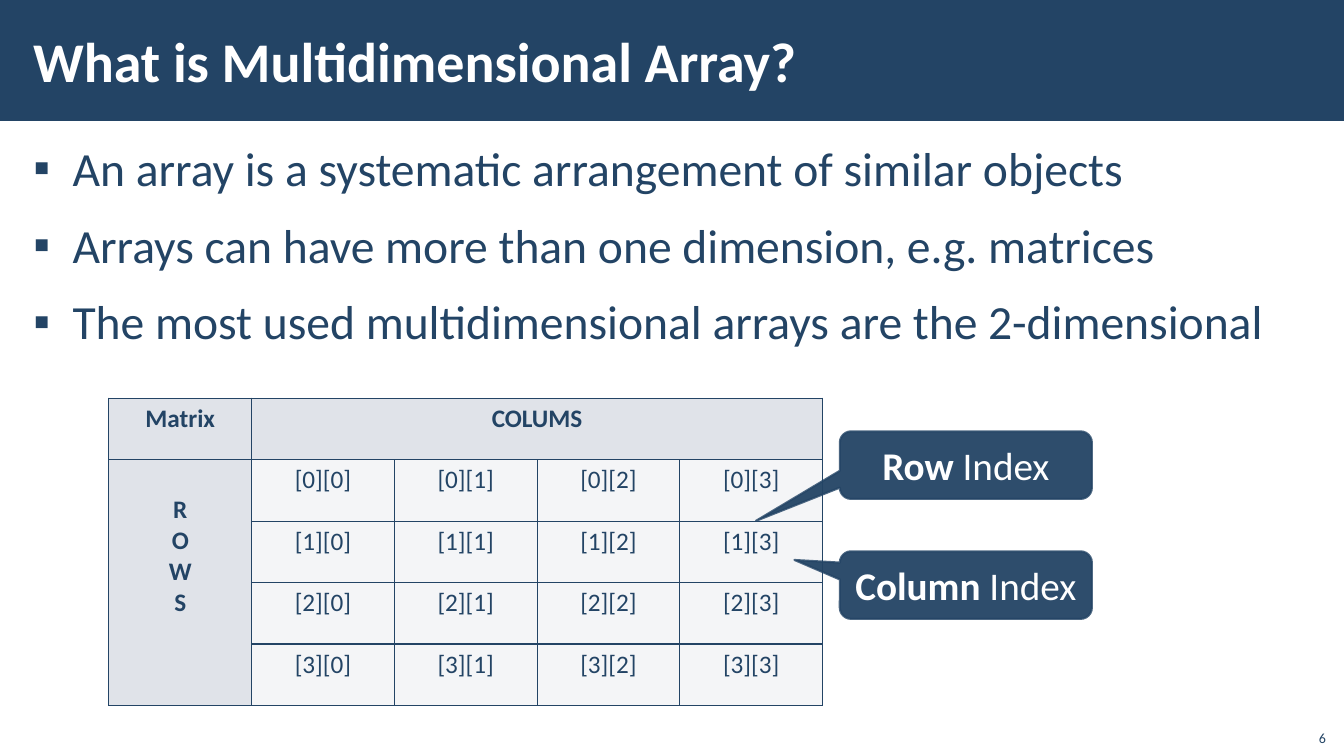
from dataclasses import dataclass

from lxml import etree
from pptx import Presentation
from pptx.dml.color import RGBColor
from pptx.enum import shapes, text
from pptx.oxml import ns
from pptx.util import Inches, Pt

NAVY = RGBColor(0x23, 0x44, 0x65)
WHITE = RGBColor(0xFF, 0xFF, 0xFF)
HEADER_FILL = RGBColor(0xE0, 0xE3, 0xE9)
CELL_FILL = RGBColor(0xF4, 0xF5, 0xF7)
FONT = "Calibri"
MATRIX_SIZE = 4
CENTER = text.PP_ALIGN.CENTER
MIDDLE = text.MSO_ANCHOR.MIDDLE


@dataclass
class Callout:
    word: str
    top: float
    tip_x: float
    tip_y: float


BULLETS = [
    "An array is a systematic arrangement of similar objects",
    "Arrays can have more than one dimension, e.g. matrices",
    "The most used multidimensional arrays are the 2-dimensional",
]
CALLOUTS = [
    Callout("Row", 4.28, -0.833, 0.825),
    Callout("Column", 5.47, -0.68, -0.372),
]


def format_run(r, size: float, color: RGBColor, bold: bool = False) -> None:
    r.font.name = FONT
    r.font.size = Pt(size)
    r.font.color.rgb = color
    r.font.bold = bold


def add_text(slide, content: str, left: float, top: float, width: float, height: float,
             size: float, color: RGBColor, bold: bool = False,
             anchor=text.MSO_ANCHOR.TOP, side_inset: float = 0.12):
    tf = slide.shapes.add_textbox(
        Inches(left), Inches(top), Inches(width), Inches(height)).text_frame
    tf.word_wrap = True
    tf.vertical_anchor = anchor
    tf.margin_left = tf.margin_right = Inches(side_inset)
    tf.margin_top = tf.margin_bottom = Inches(0.04)
    tf.text = content
    for p in tf.paragraphs:
        format_run(p.runs[0], size, color, bold)
    return tf


def add_bullet(p) -> None:
    p.line_spacing = 1.05
    p.space_before = p.space_after = Pt(6)
    pPr = p._p.get_or_add_pPr()
    pPr.set("marL", str(Inches(0.39)))
    pPr.set("indent", str(-Inches(0.39)))
    etree.SubElement(pPr, ns.qn("a:buFont")).set("typeface", "Arial")
    etree.SubElement(pPr, ns.qn("a:buChar")).set("char", "▪")


def add_borders(cell) -> None:
    tcPr = cell._tc.get_or_add_tcPr()
    for i, side in enumerate(("lnL", "lnR", "lnT", "lnB")):
        ln = etree.Element(ns.qn(f"a:{side}"), w=str(Pt(1)))
        fill = etree.SubElement(ln, ns.qn("a:solidFill"))
        etree.SubElement(fill, ns.qn("a:srgbClr")).set("val", str(NAVY))
        tcPr.insert(i, ln)


def add_matrix(slide) -> None:
    n = MATRIX_SIZE + 1
    table = slide.shapes.add_table(
        n, n, Inches(1.08), Inches(3.95), Inches(7.08), Inches(3.05)).table
    table.first_row = table.horz_banding = False
    table.cell(0, 1).merge(table.cell(0, MATRIX_SIZE))
    table.cell(1, 0).merge(table.cell(MATRIX_SIZE, 0))
    headings = {(0, 0): "Matrix", (0, 1): "COLUMS", (1, 0): "R\nO\nW\nS"}
    for row in range(n):
        for col in range(n):
            cell = table.cell(row, col)
            is_header = row == 0 or col == 0
            cell.fill.solid()
            cell.fill.fore_color.rgb = HEADER_FILL if is_header else CELL_FILL
            add_borders(cell)
            if cell.is_spanned:
                continue
            cell.text = headings.get((row, col), f"[{row - 1}][{col - 1}]")
            for p in cell.text_frame.paragraphs:
                p.alignment = CENTER
                format_run(p.runs[0], 18, NAVY, bold=is_header)
    table.cell(1, 0).margin_top = Inches(0.35)


def add_callout(slide, callout: Callout) -> None:
    sp = slide.shapes.add_shape(
        shapes.MSO_SHAPE.ROUNDED_RECTANGULAR_CALLOUT,
        Inches(8.33), Inches(callout.top), Inches(2.5), Inches(0.67))
    sp.shadow.inherit = False
    sp.adjustments[0] = callout.tip_x
    sp.adjustments[1] = callout.tip_y
    sp.fill.solid()
    sp.fill.fore_color.rgb = NAVY
    sp.line.color.rgb = NAVY
    sp.line.width = Pt(1.5)
    colors = sp.element.spPr.iter(ns.qn("a:srgbClr"))
    for color, opacity in zip(colors, (95, 80)):
        etree.SubElement(color, ns.qn("a:alpha")).set("val", str(opacity * 1000))
    tf = sp.text_frame
    tf.word_wrap = True
    tf.vertical_anchor = MIDDLE
    p = tf.paragraphs[0]
    p.alignment = CENTER
    for content, bold in ((f"{callout.word} ", True), ("Index", False)):
        r = p.add_run()
        r.text = content
        format_run(r, 28, WHITE, bold)


def main() -> None:
    prs = Presentation()
    prs.slide_width, prs.slide_height = Inches(13.33), Inches(7.5)
    slide = prs.slides.add_slide(prs.slide_layouts[6])

    band = slide.shapes.add_shape(
        shapes.MSO_SHAPE.RECTANGLE, 0, 0, prs.slide_width, Inches(1.2))
    band.shadow.inherit = False
    band.fill.solid()
    band.fill.fore_color.rgb = NAVY
    band.line.fill.background()

    body = add_text(slide, "\n".join(BULLETS), 0.21, 1.31, 12.92, 6.05, 34, NAVY)
    for p in body.paragraphs:
        add_bullet(p)
    add_text(slide, "What is Multidimensional Array?", 0.21, 0.11, 10.63, 0.97,
             40, WHITE, bold=True, anchor=MIDDLE)
    add_matrix(slide)
    for callout in CALLOUTS:
        add_callout(slide, callout)
    number = add_text(slide, "6", 12.85, 7.12, 0.4, 0.32, 10, NAVY,
                      anchor=text.MSO_ANCHOR.BOTTOM, side_inset=0.1)
    number.paragraphs[0].alignment = text.PP_ALIGN.RIGHT

    prs.save("out.pptx")


if __name__ == "__main__":
    main()
